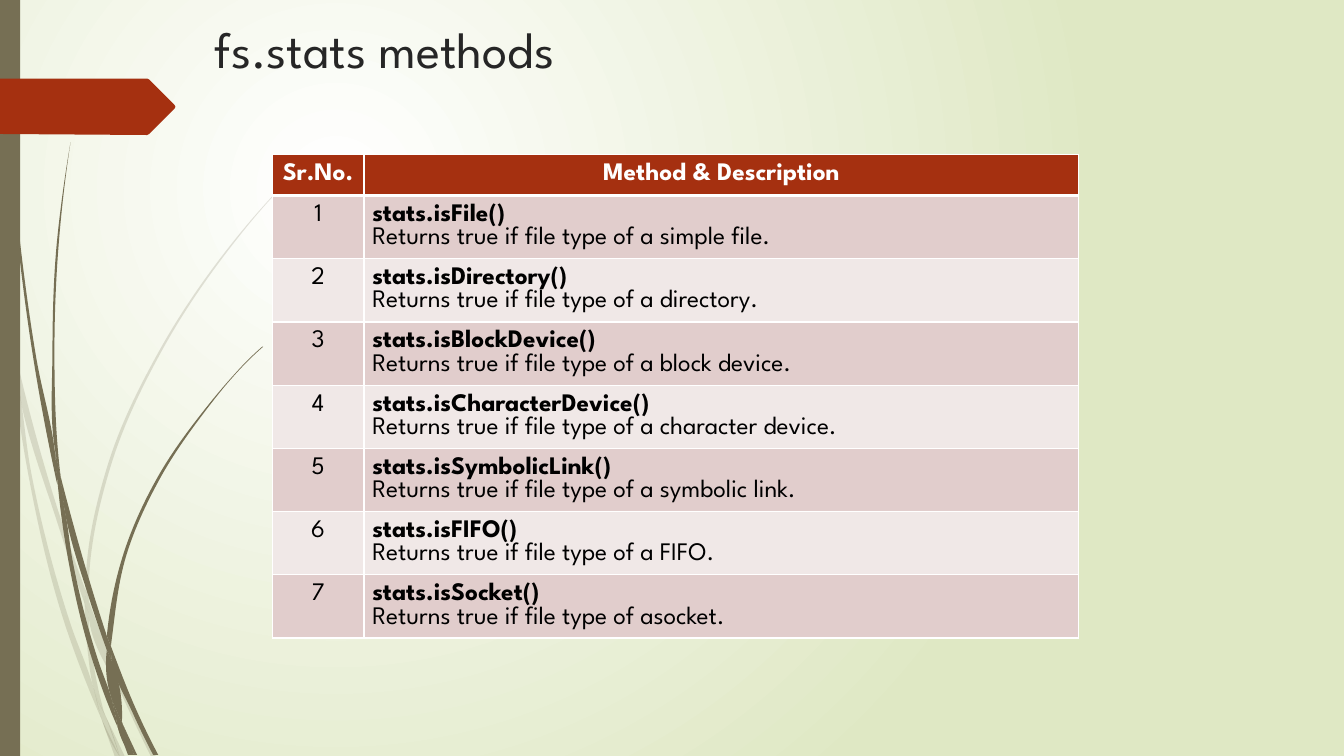
from lxml import etree
from pptx import Presentation
from pptx.dml.color import RGBColor
from pptx.enum.shapes import MSO_SHAPE
from pptx.enum.text import MSO_ANCHOR, PP_ALIGN
from pptx.oxml.ns import qn
from pptx.util import Inches, Pt

CENTER, LEFT, JUSTIFY = PP_ALIGN.CENTER, PP_ALIGN.LEFT, PP_ALIGN.JUSTIFY
TOP, RECT = MSO_ANCHOR.TOP, MSO_SHAPE.RECTANGLE
FONT = "League Spartan"
OLIVE, RUST, WHITE, SAGE = "766F54", "A53010", "FFFFFF", "DFE8C4"
BANDS = ("E1CDCC", "F0E8E7")

TITLE = "fs.stats methods"
HEADS = ("Sr.No.", "Method & Description")
METHODS = [
    ("isFile", "a simple file"),
    ("isDirectory", "a directory"),
    ("isBlockDevice", "a block device"),
    ("isCharacterDevice", "a character device"),
    ("isSymbolicLink", "a symbolic link"),
    ("isFIFO", "a FIFO"),
    ("isSocket", "asocket"),
]
WIDTHS, ROW, PAD = (0.91, 7.09), 0.41, Pt(6)

# Each blade of grass has two edges, traced one after the other.
PALE = [
    ([(0.11, 3.5), (0.09, 3.22), (0, 2.82)], [(0, 2.99), (0.1, 3.44)]),
    ([(0.14, 3.45), (0.17, 3.76), (0.58, 5.22), (0.84, 5.99)],
     [(0.85, 5.86), (0.62, 5.2), (0.14, 3.45)]),
    ([(0.88, 5.96), (0.88, 6.1), (1.23, 6.94), (1.5, 7.51)],
     [(1.55, 7.51), (1.27, 6.92), (0.92, 6.07), (0.88, 5.96)]),
    ([(1.19, 7.51), (1.24, 7.51)], [(1.05, 7.11)]),
    ([(0.11, 3.5), (0.28, 4.7), (0.65, 6.21), (0.92, 6.93), (1.01, 7.14)],
     [(0.99, 7.07), (0.93, 6.83), (0.7, 6.19), (0.31, 4.69), (0.17, 3.76), (0.11, 3.5)]),
    ([(0.84, 5.99), (0.87, 6.46), (0.93, 6.83), (0.96, 6.92), (1.05, 7.11)],
     [(1.03, 7.06), (0.91, 6.46), (0.88, 6.1), (0.88, 6.08)]),
    ([(0.88, 5.96), (0.88, 5.84), (1.1, 4.62), (1.6, 3.49), (2.29, 2.45),
      (2.68, 1.98), (2.9, 1.75), (3.12, 1.54)],
     [(3.12, 1.53), (2.89, 1.75), (2.68, 1.97), (2.28, 2.44), (1.58, 3.48),
      (1.07, 4.61), (0.85, 5.84), (0.85, 5.86)]),
    ([(1.01, 7.14), (1.14, 7.51)], [(1.19, 7.51)]),
    ([(0.88, 6.08), (0.88, 5.96)], [(0.85, 5.86), (0.84, 5.99)]),
    ([(0.93, 6.83), (0.99, 7.07), (1.01, 7.14), (1.19, 7.51)],
     [(1.19, 7.51), (1.05, 7.11), (0.96, 6.92), (0.93, 6.83)]),
]
DARK = [
    ([(0.04, 0), (0.05, 0.48), (0.08, 1.09), (0.19, 2.32), (0.36, 3.55),
      (0.55, 4.53), (0.57, 4.81)],
     [(0.56, 4.77), (0.33, 3.55), (0.17, 2.33), (0.07, 1.1), (0.04, 0.48), (0.03, 0)]),
    ([(0.6, 4.72), (0.64, 5.05), (0.88, 5.92), (1.06, 6.45)],
     [(1.06, 6.31), (0.93, 5.9), (0.6, 4.72)]),
    ([(1.1, 6.41), (1.11, 6.56), (1.32, 7.08), (1.52, 7.49)],
     [(1.57, 7.49), (1.36, 7.06), (1.13, 6.49), (1.1, 6.41)]),
    ([(0.57, 4.77), (0.68, 5.57), (0.93, 6.59), (1.11, 7.08), (1.17, 7.22)],
     [(1.16, 7.17), (1.1, 6.91), (0.98, 6.57), (0.72, 5.56), (0.64, 5.05), (0.57, 4.77)]),
    ([(0.6, 4.72), (0.58, 4.53), (0.54, 3.49), (0.58, 2.45), (0.63, 1.93), (0.7, 1.41)],
     [(0.7, 1.41), (0.62, 1.93), (0.56, 2.45), (0.52, 3.49), (0.55, 4.49), (0.6, 4.72)]),
    ([(1.33, 7.49), (1.36, 7.49)], [(1.22, 7.19)]),
    ([(0.55, 4.49), (0.55, 4.53), (0.57, 4.77), (0.64, 5.05)],
     [(0.6, 4.72), (0.55, 4.49)]),
    ([(1.1, 6.41), (1.11, 6.33), (1.25, 5.52), (1.58, 4.76), (2.05, 4.06),
      (2.31, 3.74), (2.45, 3.59), (2.61, 3.44)],
     [(2.6, 3.44), (2.45, 3.58), (2.31, 3.73), (2.04, 4.05), (1.56, 4.74),
      (1.22, 5.51), (1.06, 6.31)]),
    ([(1.17, 7.22), (1.27, 7.49)], [(1.31, 7.49)]),
    ([(1.06, 6.45), (1.1, 6.91), (1.16, 7.06), (1.22, 7.19)],
     [(1.21, 7.16), (1.11, 6.56), (1.06, 6.45)]),
    ([(1.06, 6.45), (1.11, 6.56)], [(1.1, 6.41), (1.06, 6.31)]),
    ([(1.1, 6.91), (1.16, 7.17), (1.17, 7.22), (1.3, 7.49)],
     [(1.33, 7.49), (1.22, 7.19), (1.16, 7.06), (1.1, 6.91)]),
]
TAG = [(0, 0.78), (1.46, 0.78), (1.48, 0.79), (1.73, 1.04), (1.74, 1.06),
       (1.73, 1.08), (1.48, 1.33), (1.46, 1.34), (0, 1.33)]


def rgb(code):
    """Turn a hex string into a colour."""
    return RGBColor.from_string(code)


def paint(shape, code, alpha=None):
    """Fill a shape flatly, with no line or shadow."""
    shape.shadow.inherit = False
    shape.line.fill.background()
    shape.fill.solid()
    shape.fill.fore_color.rgb = rgb(code)
    if alpha:
        tone = shape.fill._xPr.find(".//" + qn("a:srgbClr"))
        etree.SubElement(tone, qn("a:alpha"), val=str(alpha * 1000))


def write(frame, text, size=18, color="000000", bold=False, align=LEFT, first=True):
    """Put text in the first paragraph of a frame, or in a new one."""
    para = frame.paragraphs[0] if first else frame.add_paragraph()
    para.alignment = align
    run = para.add_run()
    run.text = text
    run.font.name, run.font.size, run.font.bold = FONT, Pt(size), bold
    run.font.color.rgb = rgb(color)


def outline(shapes, dots, code, alpha=None):
    """Draw one closed, filled outline."""
    spots = [(Inches(x), Inches(y)) for x, y in dots]
    pen = shapes.build_freeform(*spots[0])
    pen.add_line_segments(spots[1:], close=True)
    shape = pen.convert_to_shape()
    paint(shape, code, alpha)
    return shape


def bend(nodes):
    """Turn the straight steps of one edge into smooth curves."""
    tips = [node.find(qn("a:pt")) for node in nodes]
    dots = [complex(int(tip.get("x")), int(tip.get("y"))) for tip in tips]
    steps = [b - a for a, b in zip(dots, dots[1:])]
    if len(steps) < 2:
        return
    units = [step / abs(step) for step in steps]
    ways = [u * abs(t) + v * abs(s)
            for u, v, s, t in zip(units, units[1:], steps, steps[1:])]
    ways = [way / abs(way) for way in ways]
    ways = [2 * units[0] - ways[0], *ways, 2 * units[-1] - ways[-1]]
    for i, step in enumerate(steps):
        node, reach = nodes[i + 1], abs(step) / 3
        node.remove(tips[i + 1])
        arc = etree.Element(qn("a:cubicBezTo"))
        for dot in (dots[i] + ways[i] * reach,
                    dots[i + 1] - ways[i + 1] * reach, dots[i + 1]):
            etree.SubElement(arc, qn("a:pt"), x=str(round(dot.real)), y=str(round(dot.imag)))
        node.getparent().replace(node, arc)


def blade(shapes, out, back, alpha):
    """Draw one blade of grass between its two curved edges."""
    shape = outline(shapes, out + back, OLIVE, alpha)
    nodes = list(shape._element.find(".//" + qn("a:path")))
    bend(nodes[:len(out)])
    bend(nodes[len(out):len(out) + len(back)])


def dress(cell, code, base=1):
    """Set the white borders, margins and fill of a cell."""
    props = cell._tc.get_or_add_tcPr()
    for side, width in zip("LRTB", (1, 1, 1, base)):
        line = etree.SubElement(props, qn("a:ln" + side), w=str(Pt(width)))
        fill = etree.SubElement(line, qn("a:solidFill"))
        etree.SubElement(fill, qn("a:srgbClr"), val=WHITE)
    cell.margin_left = cell.margin_right = PAD
    cell.margin_top = cell.margin_bottom = PAD
    cell.fill.solid()
    cell.fill.fore_color.rgb = rgb(code)


def backdrop(slide):
    """Fill the background with a round gradient."""
    fill = slide.background.fill
    fill.gradient()
    for stop, code, place in zip(fill.gradient_stops, (WHITE, SAGE), (0, 1)):
        stop.color.rgb, stop.position = rgb(code), place
    grad = slide.element.find(".//" + qn("a:gradFill"))
    grad.remove(grad.find(qn("a:lin")))
    ring = etree.SubElement(grad, qn("a:path"))
    ring.set("path", "circle")
    etree.SubElement(ring, qn("a:fillToRect"), l="50000", t="50000", r="100000", b="100000")


deck = Presentation()
deck.slide_width, deck.slide_height = Inches(13.33), Inches(7.5)
slide = deck.slides.add_slide(deck.slide_layouts[5])
shapes = slide.shapes
backdrop(slide)
for blades, alpha in ((PALE, 20), (DARK, None)):
    group = shapes.add_group_shape()
    for out, back in blades:
        blade(group.shapes, out, back, alpha)
paint(shapes.add_shape(RECT, 0, 0, Inches(0.2), Inches(7.5)), OLIVE)
outline(shapes, TAG, RUST)

title = shapes.title
title.left, title.top = Inches(2.03), Inches(0.13)
title.width, title.height = Inches(9.75), Inches(1.4)
title.text_frame.vertical_anchor = TOP
write(title.text_frame, TITLE, size=36, color="262626")
shapes._spTree.append(title._element)

count = len(METHODS) + 1
grid = shapes.add_table(count, len(HEADS), Inches(2.7), Inches(1.53),
                        Inches(sum(WIDTHS)), Inches(ROW * count)).table
for col, width in zip(grid.columns, WIDTHS):
    col.width = Inches(width)
for cell, head in zip(grid.rows[0].cells, HEADS):
    dress(cell, RUST, base=3)
    write(cell.text_frame, head, color=WHITE, bold=True, align=CENTER)
for num, (name, kind) in enumerate(METHODS, 1):
    mark, about = grid.rows[num].cells
    for cell in (mark, about):
        dress(cell, BANDS[(num - 1) % 2])
    write(mark.text_frame, str(num), align=CENTER)
    write(about.text_frame, f"stats.{name}()", bold=True, align=JUSTIFY)
    write(about.text_frame, f"Returns true if file type of {kind}.", align=JUSTIFY, first=False)
deck.save("out.pptx")
